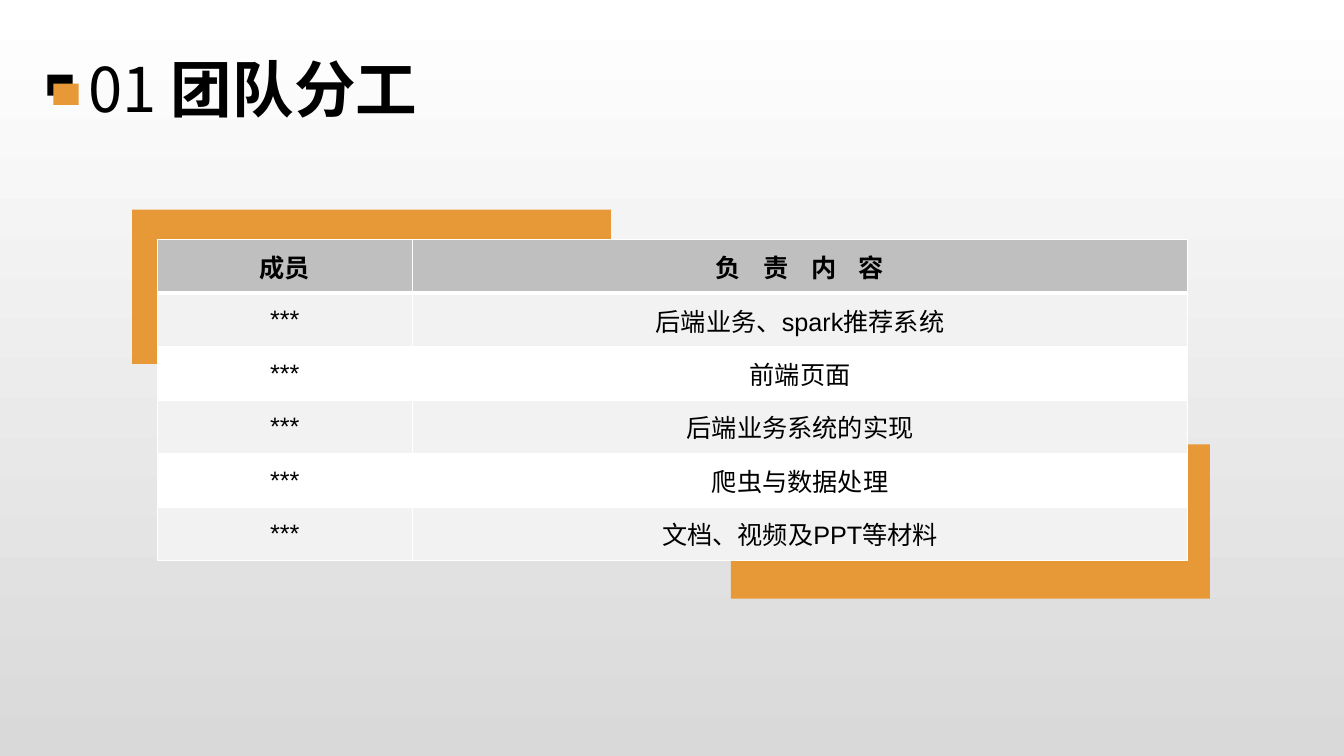
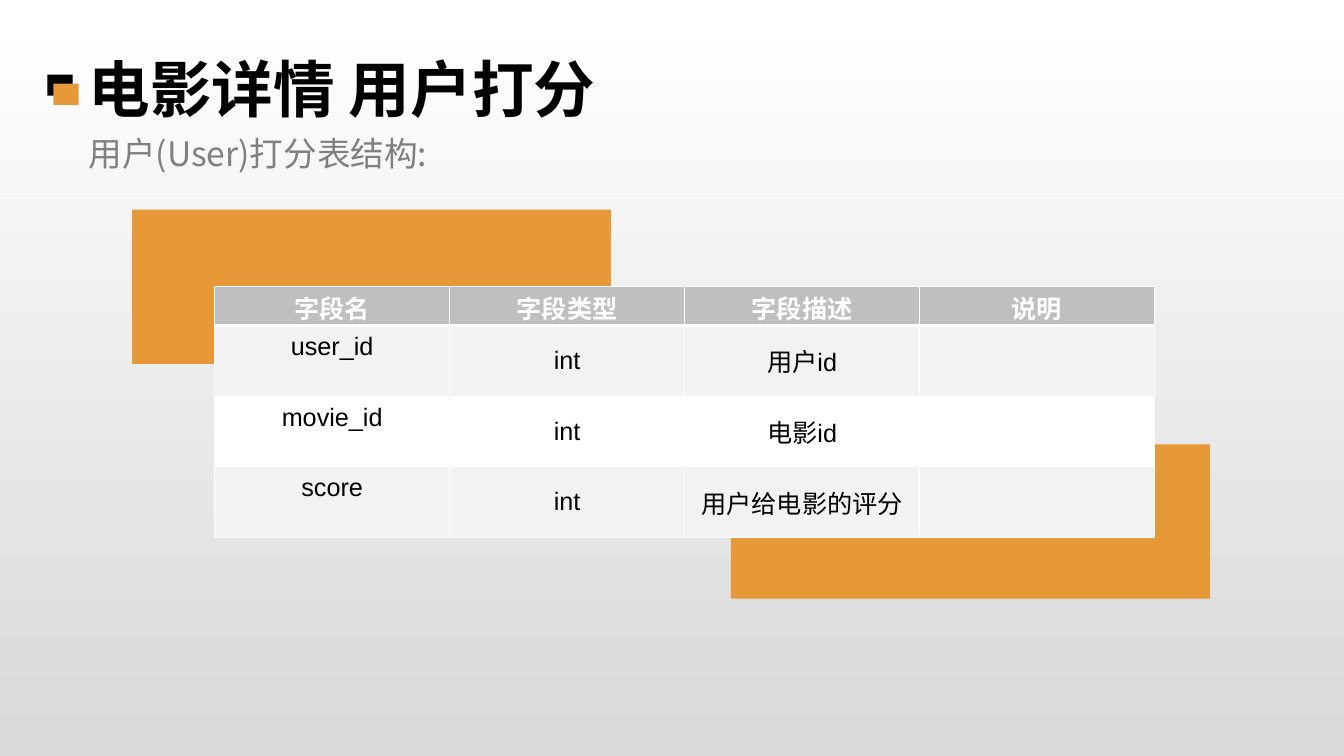
"""Build two slides, each with a heading and a table on an orange backdrop."""
from pptx import Presentation
from pptx import util as u
from pptx.dml.color import RGBColor
from pptx.enum import shapes, text
from pptx.oxml import parse_xml
from pptx.oxml.ns import nsdecls

COLORS = {
    "black": "000000",
    "white": "FFFFFF",
    "orange": "E79937",
    "gray": "808080",
    "header": "BFBFBF",
    "band": "F2F2F2",
    "shade": "D9D9D9",
}
HEADING_FONT = "Noto Sans CJK SC"
TABLE_FONT = "Arial"

BLOCKS = [
    (1.31, 2.08, 4.75, 1.53, "orange"),
    (7.25, 4.41, 4.75, 1.53, "orange"),
    (0.47, 0.74, 0.25, 0.21, "black"),
    (0.53, 0.83, 0.25, 0.21, "orange"),
]

SLIDES = [
    {
        "title": [("01 ", False), ("团队分工", True)],
        "subtitle": None,
        "heading_size": (4.03, 0.84),
        "table_at": (1.56, 2.38),
        "columns": [2.53, 7.69],
        "rows": [0.53] * 6,
        "header_color": "black",
        "header_margins": (0.05, 0.05),
        "name_margin": 0.05,
        "cells": [
            ["成员", "负 责 内 容"],
            ["***", "后端业务、spark推荐系统"],
            ["***", "前端页面"],
            ["***", "后端业务系统的实现"],
            ["***", "爬虫与数据处理"],
            ["***", "文档、视频及PPT等材料"],
        ],
    },
    {
        "title": [("电影详情 用户打分", True)],
        "subtitle": "用户(User)打分表结构:",
        "heading_size": (6.16, 1.73),
        "table_at": (2.13, 2.84),
        "columns": [2.33] * 4,
        "rows": [0.39] + [0.7] * 3,
        "header_color": "white",
        "header_margins": (0.03, 0),
        "name_margin": 0.33,
        "cells": [
            ["字段名", "字段类型", "字段描述", "说明"],
            ["user_id", "int", "用户id", ""],
            ["movie_id", "int", "电影id", ""],
            ["score", "int", "用户给电影的评分", ""],
        ],
    },
]


def format_run(run, name, size, color, bold):
    run.font.name = name
    run.font.size = u.Pt(size)
    run.font.bold = bold
    run.font.color.rgb = RGBColor.from_string(COLORS[color])
    run.font._element.find("{*}latin").addnext(
        parse_xml(f'<a:ea {nsdecls("a")} typeface="{HEADING_FONT}"/>')
    )


def format_cell(cell, fill, top, bottom):
    properties = cell._tc.get_or_add_tcPr()
    for side, width in (("L", 1), ("R", 1), ("T", top), ("B", bottom)):
        properties.append(parse_xml(
            f'<a:ln{side} {nsdecls("a")} w="{u.Pt(width)}"><a:solidFill>'
            f'<a:srgbClr val="{COLORS["white"]}"/></a:solidFill></a:ln{side}>'
        ))
    cell.fill.solid()
    cell.fill.fore_color.rgb = RGBColor.from_string(COLORS[fill])
    cell.vertical_anchor = text.MSO_ANCHOR.MIDDLE


presentation = Presentation()
presentation.slide_width = u.Inches(13.33)
presentation.slide_height = u.Inches(7.5)

background = presentation.slide_master.background.fill
background.gradient()
background.gradient_angle = 270
for stop, position, color in zip(background.gradient_stops, (0, 1), ("white", "shade")):
    stop.position = position
    stop.color.rgb = RGBColor.from_string(COLORS[color])

for content in SLIDES:
    slide = presentation.slides.add_slide(presentation.slide_layouts[6])

    for *box, color in BLOCKS:
        shape = slide.shapes.add_shape(
            shapes.MSO_SHAPE.RECTANGLE, *(u.Inches(length) for length in box)
        )
        shape.shadow.inherit = False
        shape.fill.solid()
        shape.fill.fore_color.rgb = RGBColor.from_string(COLORS[color])
        shape.line.fill.background()

    width, height = content["heading_size"]
    heading = slide.shapes.add_textbox(
        u.Inches(0.78), u.Inches(0.46), u.Inches(width), u.Inches(height)
    )
    text_frame = heading.text_frame
    text_frame.word_wrap = True
    paragraph = text_frame.paragraphs[0]
    for words, bold in content["title"]:
        run = paragraph.add_run()
        run.text = words
        format_run(run, HEADING_FONT, 44, "black", bold)
    if content["subtitle"]:
        paragraph = text_frame.add_paragraph()
        paragraph.text = content["subtitle"]
        paragraph.line_spacing = 1.2
        format_run(paragraph.runs[0], HEADING_FONT, 24, "gray", False)

    columns, rows = content["columns"], content["rows"]
    left, top = content["table_at"]
    table = slide.shapes.add_table(
        len(rows), len(columns), u.Inches(left), u.Inches(top),
        u.Inches(sum(columns)), u.Inches(sum(rows)),
    ).table
    for column, width in zip(table.columns, columns):
        column.width = u.Inches(width)
    for row, height in zip(table.rows, rows):
        row.height = u.Inches(height)

    for row_index, words_in_row in enumerate(content["cells"]):
        is_header = row_index == 0
        fill = "header" if is_header else ("white", "band")[row_index % 2]
        for column_index, words in enumerate(words_in_row):
            cell = table.cell(row_index, column_index)
            format_cell(cell, fill, 3 if row_index == 1 else 1, 3 if is_header else 1)
            if is_header:
                margin_top, margin_bottom = content["header_margins"]
                cell.margin_top = u.Inches(margin_top)
                cell.margin_bottom = u.Inches(margin_bottom)
            elif column_index == 0:
                cell.margin_bottom = u.Inches(content["name_margin"])
            cell.text_frame.text = words
            paragraph = cell.text_frame.paragraphs[0]
            paragraph.alignment = text.PP_ALIGN.CENTER
            for run in paragraph.runs:
                color = content["header_color"] if is_header else "black"
                format_run(run, TABLE_FONT, 18, color, is_header)
                if is_header and " " in words:
                    run.font._element.set("spc", "600")

presentation.save("out.pptx")
